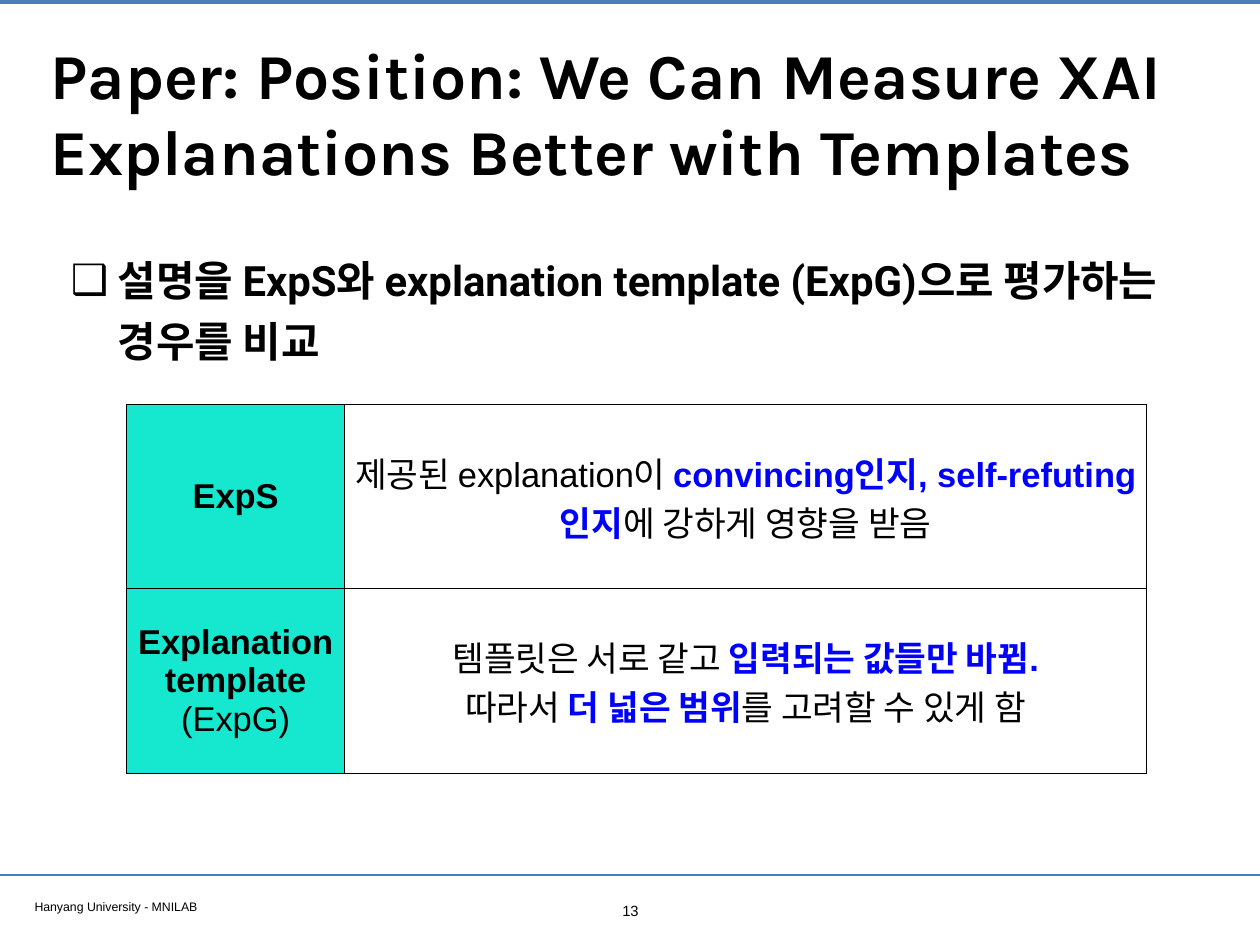
from lxml import etree
from pptx import Presentation, util as u
from pptx.dml.color import RGBColor
from pptx.enum import shapes, text
from pptx.oxml.ns import qn

COLOURS = {"ink": "000000", "rule": "4A7EBB", "label": "16E7CF",
           "key": "0000FF", "paper": "FFFFFF"}
WIDTH, HEIGHT = 36.12, 27.1
INSET = u.Cm(0.15)


def colour(name):
    return RGBColor.from_string(COLOURS[name])


class SlideBuilder:
    def __init__(self, slide):
        self.slide = slide

    def format_run(self, run, size, font="Arial", bold=False, ink="ink"):
        run.font.size = u.Pt(size)
        run.font.name = font
        run.font.bold = bold
        run.font.color.rgb = colour(ink)

    def fit_frame(self, frame):
        frame.word_wrap = True
        frame.auto_size = text.MSO_AUTO_SIZE.NONE
        frame.margin_left = frame.margin_right = INSET
        frame.margin_top = frame.margin_bottom = INSET

    def title(self, words, left, top, width, height):
        heading = self.slide.shapes.title
        heading.left, heading.top = u.Cm(left), u.Cm(top)
        heading.width, heading.height = u.Cm(width), u.Cm(height)
        frame = heading.text_frame
        self.fit_frame(frame)
        frame.vertical_anchor = text.MSO_ANCHOR.MIDDLE
        frame.text = words
        line = frame.paragraphs[0]
        line.alignment = text.PP_ALIGN.LEFT
        self.format_run(line.runs[0], 52, "Karla", bold=True)

    def text_box(self, words, left, top, width, height, size, **style):
        box = self.slide.shapes.add_textbox(
            u.Cm(left), u.Cm(top), u.Cm(width), u.Cm(height))
        self.fit_frame(box.text_frame)
        box.text_frame.text = words
        line = box.text_frame.paragraphs[0]
        self.format_run(line.runs[0], size, **style)
        return line

    def bullet(self, line, mark, indent):
        props = line._p.get_or_add_pPr()
        props.set("marL", str(u.Cm(indent)))
        props.set("indent", str(-u.Cm(indent)))
        etree.SubElement(props, qn("a:buFont"), typeface="Arial")
        etree.SubElement(props, qn("a:buChar"), char=mark)

    def rule(self, y, weight):
        line = self.slide.shapes.add_connector(
            shapes.MSO_CONNECTOR.STRAIGHT, 0, u.Cm(y), u.Cm(WIDTH), u.Cm(y))
        line.line.color.rgb = colour("rule")
        line.line.width = u.Pt(weight)
        etree.SubElement(line._element.spPr, qn("a:effectLst"))

    def cell_borders(self, cell):
        props = cell._tc.get_or_add_tcPr()
        for position, side in enumerate(("lnL", "lnR", "lnT", "lnB")):
            border = etree.Element(qn(f"a:{side}"), w=str(u.Pt(1)))
            fill = etree.SubElement(border, qn("a:solidFill"))
            etree.SubElement(fill, qn("a:srgbClr"), val=COLOURS["ink"])
            props.insert(position, border)

    def fill_cell(self, cell, lines, background):
        """Each line is a list of (words, bold, ink) pieces."""
        cell.fill.solid()
        cell.fill.fore_color.rgb = colour(background)
        cell.vertical_anchor = text.MSO_ANCHOR.MIDDLE
        self.cell_borders(cell)
        frame = cell.text_frame
        for number, pieces in enumerate(lines):
            line = frame.add_paragraph() if number else frame.paragraphs[0]
            line.alignment = text.PP_ALIGN.CENTER
            for words, bold, ink in pieces:
                run = line.add_run()
                run.text = words
                self.format_run(run, 28, bold=bold, ink=ink)

    def table(self, rows, left, top, column_widths, row_height):
        grid = self.slide.shapes.add_table(
            len(rows), len(column_widths), u.Cm(left), u.Cm(top),
            u.Cm(sum(column_widths)), u.Cm(row_height * len(rows))).table
        grid.first_row = grid.horz_banding = False
        for column, width in zip(grid.columns, column_widths):
            column.width = u.Cm(width)
        for r, row in enumerate(rows):
            grid.rows[r].height = u.Cm(row_height)
            for c, lines in enumerate(row):
                self.fill_cell(grid.cell(r, c), lines, "paper" if c else "label")


def plain(words):
    return words, False, "ink"


def strong(words, ink="ink"):
    return words, True, ink


def key(words):
    return strong(words, "key")


COMPARISON = [
    [[[strong("ExpS")]],
     [[plain("제공된 explanation이 "), key("convincing인지, self-refuting인지"),
       plain("에 강하게 영향을 받음")]]],
    [[[strong("Explanation template")], [plain("(ExpG)")]],
     [[plain("템플릿은 서로 같고 "), key("입력되는 값들만 바뀜.")],
      [plain("따라서 "), key("더 넓은 범위"), plain("를 고려할 수 있게 함")]]],
]


def main():
    deck = Presentation()
    deck.slide_width, deck.slide_height = u.Cm(WIDTH), u.Cm(HEIGHT)
    page = SlideBuilder(deck.slides.add_slide(deck.slide_layouts[5]))

    page.rule(0.05, 3.2)
    page.rule(25.1, 2)
    page.title("Paper: Position: We Can Measure XAI Explanations Better with Templates",
               1.3, 0.71, 33.55, 5)

    claim = page.text_box(
        "설명을 ExpS와 explanation template (ExpG)으로 평가하는 경우를 비교",
        1.88, 6.88, 32.23, 7.14, 34, font="Roboto", bold=True)
    page.bullet(claim, "❑", 1.35)
    claim.line_spacing = 1.2

    page.table(COMPARISON, 3.63, 11.61, [6.25, 22.99], 5.28)

    page.text_box("Hanyang University - MNILAB", 0.84, 25.63, 13.87, 0.66, 10)
    page_number = page.text_box("13", 17.58, 25.7, 0.99, 0.79, 12)
    page_number.alignment = text.PP_ALIGN.CENTER

    deck.save("out.pptx")


if __name__ == "__main__":
    main()
